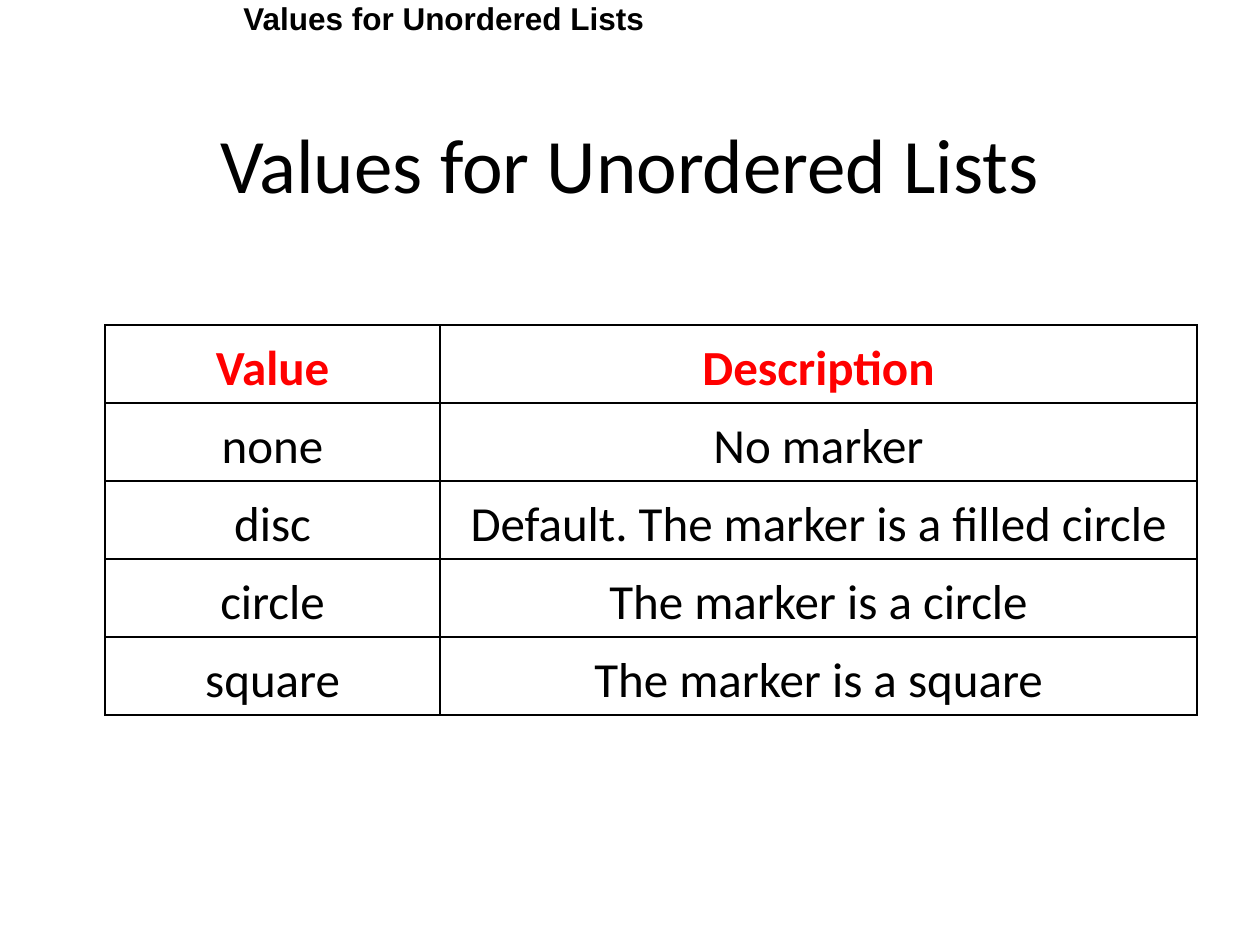
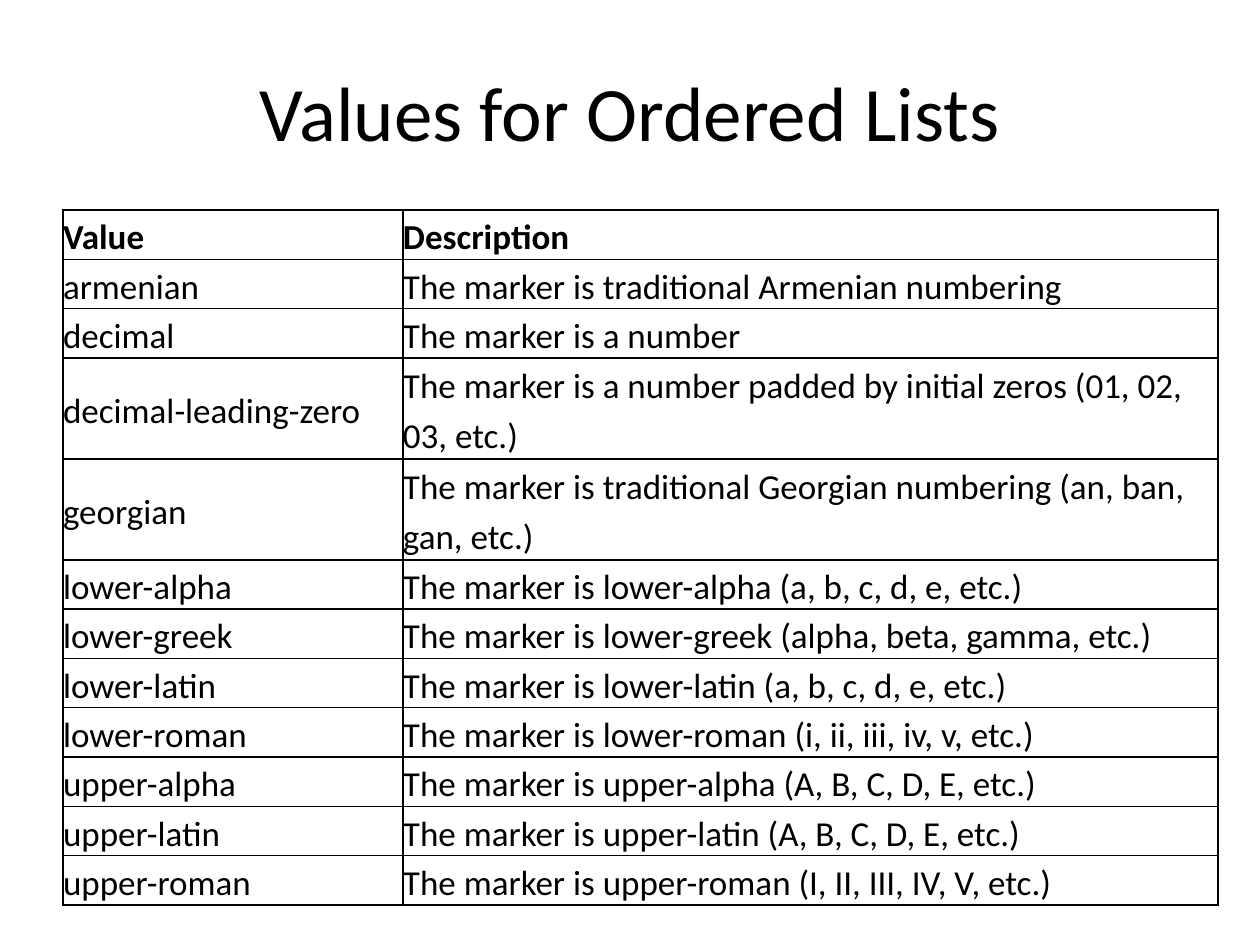
from dataclasses import dataclass

from lxml import etree
from pptx import Presentation
from pptx.dml.color import RGBColor
from pptx.enum import text
from pptx.oxml import ns
from pptx.util import Emu, Pt

PIXEL = 914400 // 126
TITLE_ONLY = 5


@dataclass(frozen=True)
class Theme:
    font: str = "Calibri"
    label_font: str = "Arial"
    ink: str = "000000"
    accent: str = "FF0000"
    title_size: int = 44
    label_size: int = 18
    large_size: int = 28
    body_size: int = 20
    line_spacing: float = 1.15
    border_width: int = 1


THEME = Theme()

UNORDERED_VALUES = [
    ("Value", "Description"),
    ("none", "No marker"),
    ("disc", "Default. The marker is a filled circle"),
    ("circle", "The marker is a circle"),
    ("square", "The marker is a square"),
]

ORDERED_VALUES = [
    ("Value", "Description"),
    ("armenian", "The marker is traditional Armenian numbering"),
    ("decimal", "The marker is a number"),
    ("decimal-leading-zero", "The marker is a number padded by initial zeros (01, 02, 03, etc.)"),
    ("georgian", "The marker is traditional Georgian numbering (an, ban, gan, etc.)"),
    ("lower-alpha", "The marker is lower-alpha (a, b, c, d, e, etc.)"),
    ("lower-greek", "The marker is lower-greek (alpha, beta, gamma, etc.)"),
    ("lower-latin", "The marker is lower-latin (a, b, c, d, e, etc.)"),
    ("lower-roman", "The marker is lower-roman (i, ii, iii, iv, v, etc.)"),
    ("upper-alpha", "The marker is upper-alpha (A, B, C, D, E, etc.)\u00a0"),
    ("upper-latin", "The marker is upper-latin (A, B, C, D, E, etc.)"),
    ("upper-roman", "The marker is upper-roman (I, II, III, IV, V, etc.)"),
]


def px(length):
    return Emu(length * PIXEL)


def place(shape, left, top, width, height):
    shape.left, shape.top = px(left), px(top)
    shape.width, shape.height = px(width), px(height)


def write(frame, words, size, font=THEME.font, color=THEME.ink, bold=False,
          align=text.PP_ALIGN.LEFT):
    frame.text = words
    frame.word_wrap = True
    para = frame.paragraphs[0]
    para.alignment = align
    for span in para.runs:
        span.font.name = font
        span.font.size = Pt(size)
        span.font.bold = bold
        span.font.color.rgb = RGBColor.from_string(color)
    return para


def add_page(deck, title, top):
    page = deck.slides.add_slide(deck.slide_layouts[TITLE_ONLY])
    box = page.shapes.title
    place(box, 63, top, 1134, 158)
    box.text_frame.vertical_anchor = text.MSO_ANCHOR.MIDDLE
    write(box.text_frame, title, THEME.title_size, align=text.PP_ALIGN.CENTER)
    return page


def add_label(page, words, left, top, width, height):
    box = page.shapes.add_textbox(px(left), px(top), px(width), px(height))
    frame = box.text_frame
    frame.margin_top = frame.margin_bottom = 0
    frame.vertical_anchor = text.MSO_ANCHOR.MIDDLE
    write(frame, words, THEME.label_size, font=THEME.label_font, bold=True)
    frame.auto_size = text.MSO_AUTO_SIZE.SHAPE_TO_FIT_TEXT


def add_borders(cell):
    properties = cell._tc.get_or_add_tcPr()
    for side in ("lnL", "lnR", "lnT", "lnB"):
        line = etree.SubElement(properties, ns.qn(f"a:{side}"),
                                w=str(Pt(THEME.border_width)))
        fill = etree.SubElement(line, ns.qn("a:solidFill"))
        etree.SubElement(fill, ns.qn("a:srgbClr"), val=THEME.ink)


def fill_cell(cell, words, size, color, bold, align):
    cell.margin_left = cell.margin_right = cell.margin_top = cell.margin_bottom = 0
    cell.vertical_anchor = text.MSO_ANCHOR.MIDDLE
    add_borders(cell)
    cell.fill.background()
    para = write(cell.text_frame, words, size, color=color, bold=bold, align=align)
    para.line_spacing = THEME.line_spacing


def add_value_table(page, values, left, top, widths, heights, size,
                    header_color=THEME.ink, align=text.PP_ALIGN.LEFT):
    table = page.shapes.add_table(len(values), len(widths), px(left), px(top),
                                  px(sum(widths)), px(sum(heights))).table
    table.first_row = table.horz_banding = False
    for column, width in zip(table.columns, widths):
        column.width = px(width)
    for index, (row, height) in enumerate(zip(table.rows, heights)):
        row.height = px(height)
        header = index == 0
        color = header_color if header else THEME.ink
        for cell, words in zip(row.cells, values[index]):
            fill_cell(cell, words, size, color, header, align)


def add_unordered_page(deck):
    title = "Values for Unordered Lists"
    page = add_page(deck, title, 84)
    add_value_table(page, UNORDERED_VALUES, 105, 325, (335, 757),
                    [78] * len(UNORDERED_VALUES), THEME.large_size,
                    THEME.accent, text.PP_ALIGN.CENTER)
    add_label(page, title, 231, 0, 759, 36)


def add_ordered_page(deck):
    page = add_page(deck, "Values for Ordered Lists", 32)
    two_line_values = ("decimal-leading-zero", "georgian")
    heights = [101 if value in two_line_values else 49 for value, _ in ORDERED_VALUES]
    add_value_table(page, ORDERED_VALUES, 63, 210, (340, 815), heights, THEME.body_size)


def main():
    deck = Presentation()
    deck.slide_width, deck.slide_height = px(1260), px(945)
    add_unordered_page(deck)
    add_ordered_page(deck)
    deck.save("out.pptx")


main()
